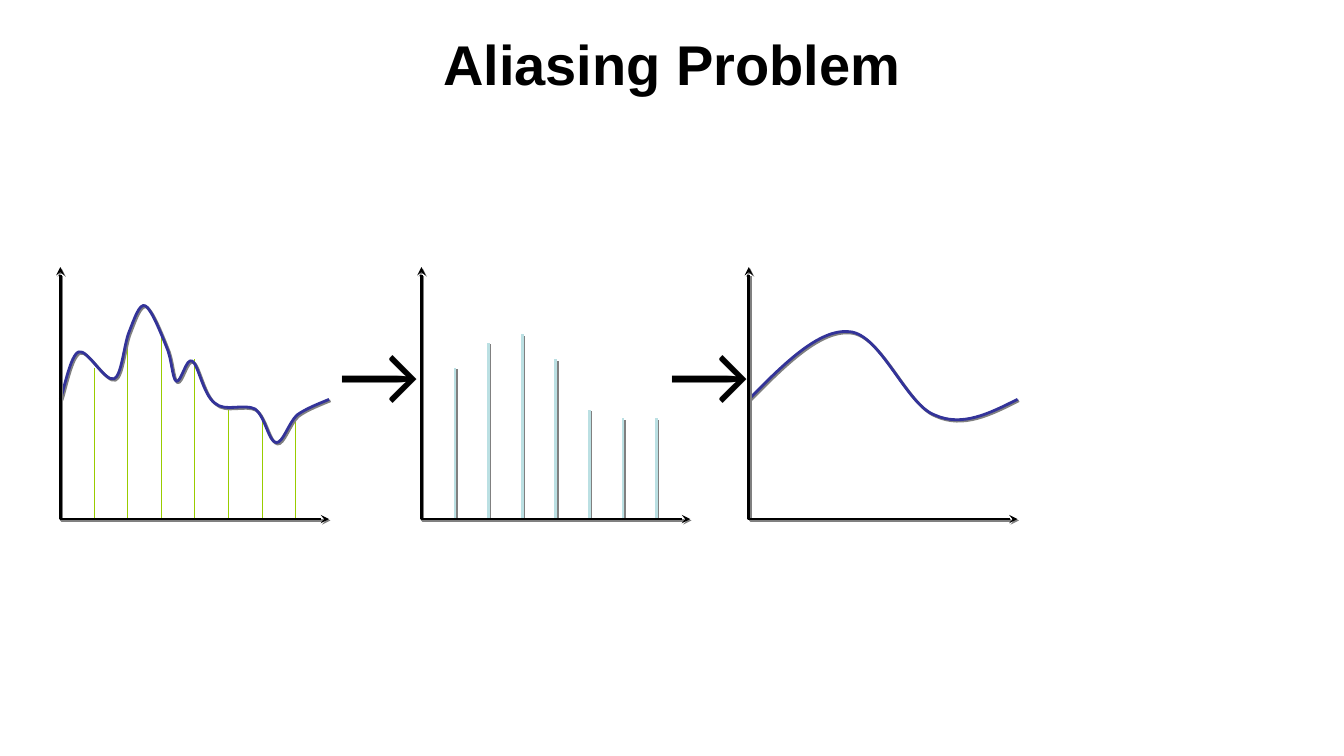
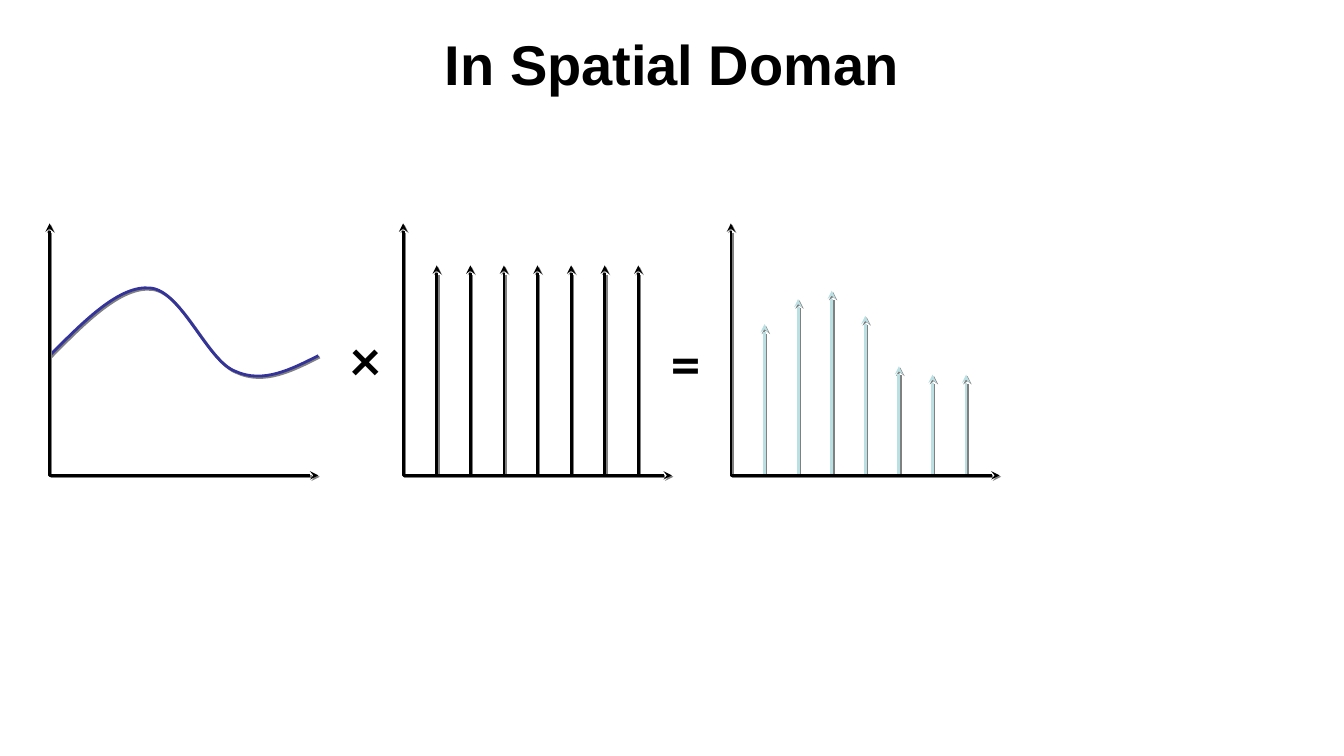
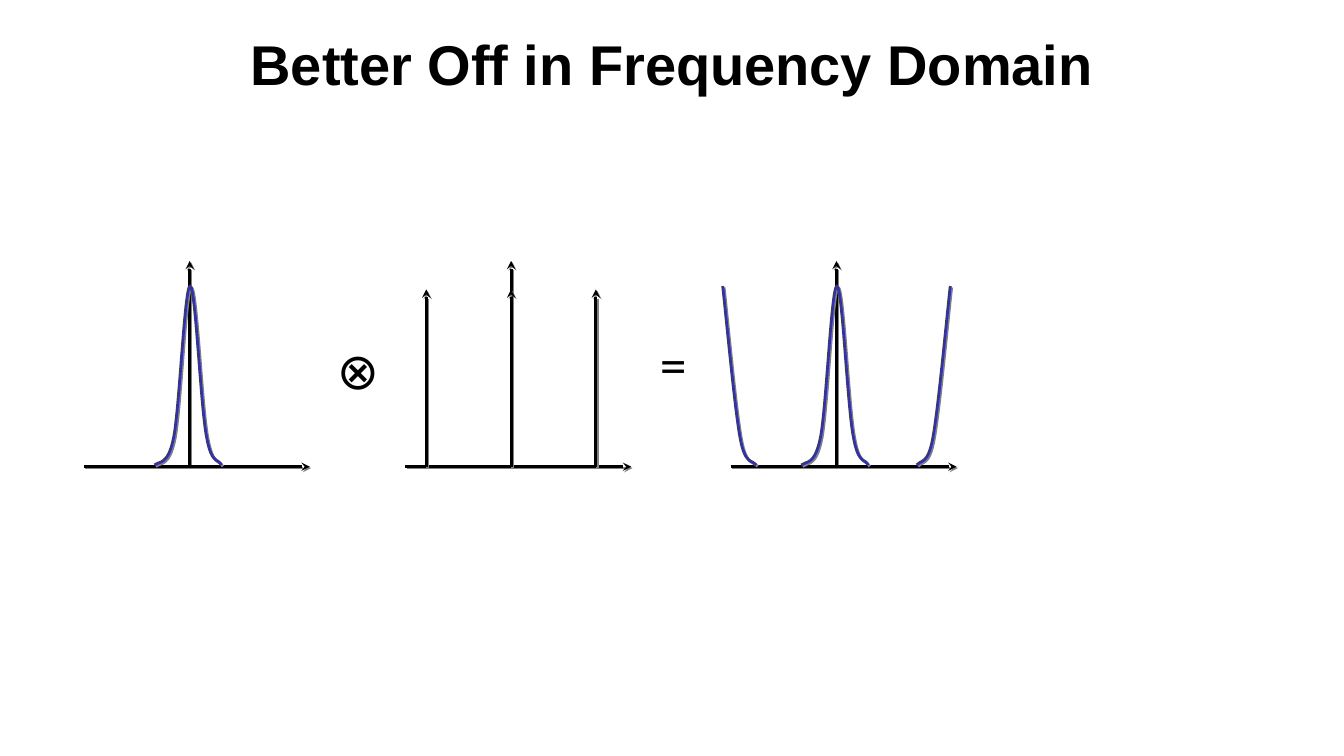
import dataclasses

import pptx
import pptx.dml.color
import pptx.enum.shapes
import pptx.enum.text
import pptx.oxml
import pptx.oxml.ns
import pptx.util
from lxml import etree

Cm, Pt = pptx.util.Cm, pptx.util.Pt
qn = pptx.oxml.ns.qn


@dataclasses.dataclass(frozen=True)
class Theme:
    ink: str = "000000"
    curve: str = "333399"
    sample: str = "BBE0E3"
    guide: str = "99CC00"
    shadow: str = "808080"
    title_font: str = "Arial"
    symbol_font: str = "Lato"
    title: float = 40
    arrow: float = 60
    operator: float = 40
    small_operator: float = 36
    stroke: float = 2
    hairline: float = 0.25


theme = Theme()
UNIT = Cm(2.54) / 12  # plots are measured in twelfths of an inch

SHADOW = (
    f'<a:effectLst {pptx.oxml.ns.nsdecls("a")}>'
    f'<a:outerShdw dist="{Pt(1.41)}" dir="2700000" algn="ctr" rotWithShape="0">'
    f'<a:srgbClr val="{theme.shadow}"/></a:outerShdw></a:effectLst>'
)


def draw(sl, origin, points, color, width=theme.stroke, curved=False, heads=(), shadow=True):
    """Draw points given in units right of and above origin; curved takes Bézier triples."""
    xy = [(round(origin[0] + x * UNIT), round(origin[1] - y * UNIT)) for x, y in points]
    if len(xy) == 2:
        s = sl.shapes.add_connector(pptx.enum.shapes.MSO_CONNECTOR.STRAIGHT, *xy[0], *xy[1])
    else:
        builder = sl.shapes.build_freeform(*xy[0])
        builder.add_line_segments(xy[1:], close=False)
        s = builder.convert_to_shape()
        s.fill.background()
    if curved:
        outline = next(s.element.iter(qn("a:path")))
        segments = outline.findall(qn("a:lnTo"))
        for i in range(0, len(segments), 3):
            bezier = etree.SubElement(outline, qn("a:cubicBezTo"))
            for segment in segments[i:i + 3]:
                bezier.append(segment[0])
                outline.remove(segment)
    s.line.color.rgb = pptx.dml.color.RGBColor.from_string(color)
    s.line.width = Pt(width)
    spPr = s.element.spPr
    for head in heads:
        etree.SubElement(spPr.find(qn("a:ln")), qn(f"a:{head}")).set("type", "stealth")
    if shadow:
        spPr.append(pptx.oxml.parse_xml(SHADOW))
    else:
        etree.SubElement(spPr, qn("a:effectLst"))


def add_text(sl, text, box, size, font=theme.symbol_font, bold=False):
    s = sl.shapes.add_textbox(*(Cm(v) for v in box))
    tf = s.text_frame
    tf.word_wrap = True
    tf.vertical_anchor = pptx.enum.text.MSO_ANCHOR.MIDDLE
    p = tf.paragraphs[0]
    p.alignment = pptx.enum.text.PP_ALIGN.CENTER
    r = p.add_run()
    r.text = text
    for name, value in dict(size=Pt(size), name=font, bold=bold).items():
        setattr(r.font, name, value)
    r.font.color.rgb = pptx.dml.color.RGBColor.from_string(theme.ink)
    return r


prs = pptx.Presentation()
prs.slide_width, prs.slide_height = Cm(33.87), Cm(19.05)

slides = []
for title in ("Aliasing Problem", "In Spatial Doman", "Better Off in Frequency Domain"):
    sl = prs.slides.add_slide(prs.slide_layouts[6])
    r = add_text(sl, title, (0.56, 0.43, 32.74, 2.34), theme.title, theme.title_font, True)
    r.font.fill._xPr.find(qn("a:solidFill")).addnext(pptx.oxml.parse_xml(SHADOW))
    slides.append(sl)
aliasing, spatial, frequency = slides

# Shared plot data
BOTH, END = ("headEnd", "tailEnd"), ("tailEnd",)
axes = [(0, 30), (0, 0), (32, 0)]
sample_heights = [18, 21, 22, 19, 13, 12, 12]
sample_step = 4
impulse_height = 25
smooth_wave = [
    (0, 14.25), (4.2, 18.5), (8.4, 22.7), (12, 22.3), (15.7, 22),
    (18.7, 13.7), (22.1, 12.4), (25.4, 10.9), (28.7, 12.6), (32, 14.25),
]
detailed_wave = [
    (0, 14.25), (0.4, 15.2), (1.2, 19.6), (2.2, 19.9), (3.2, 20.3), (5.3, 16.3), (6.4, 16.7),
    (7.3, 17), (7.6, 20.9), (8.2, 22.3), (8.8, 23.8), (9.4, 25.7), (10.1, 25.4),
    (10.8, 25.1), (12, 22.1), (12.6, 20.6), (13.3, 19.1), (13.3, 16.8), (13.8, 16.4),
    (14.4, 16.2), (15, 19.3), (15.7, 18.8), (16.4, 18.5), (17, 14.8), (18.4, 13.8),
    (19.6, 12.7), (21.8, 13.8), (23.2, 13.1), (24.4, 12.2), (24.8, 9.2), (25.7, 9.1),
    (26.5, 9), (27.2, 11.5), (28.2, 12.4), (29.3, 13.2), (31.2, 13.9), (32, 14.25),
]
sample_lines = [[(i * sample_step, 0), (i * sample_step, h)]
                for i, h in enumerate(sample_heights, 1)]
impulse_lines = [[(x, 0), (x, impulse_height)] for (x, _), _ in sample_lines]

# Aliasing Problem: signal, samples, reconstruction
signal, samples, rebuilt = [(Cm(x), Cm(13.08)) for x in (1.52, 10.62, 18.87)]
for line in sample_lines:
    draw(aliasing, signal, line, theme.guide, theme.hairline, shadow=False)
    draw(aliasing, samples, line, theme.sample)
draw(aliasing, signal, detailed_wave, theme.curve, curved=True)
draw(aliasing, rebuilt, smooth_wave, theme.curve, curved=True)
for origin in (signal, samples, rebuilt):
    draw(aliasing, origin, axes, theme.ink, heads=BOTH)
for left in (8.26, 16.56):
    add_text(aliasing, "→", (left, 7.98, 2.36, 2.82), theme.arrow)

# In Spatial Doman: signal times impulses gives samples
signal, impulses, samples = [(Cm(x), Cm(11.98)) for x in (1.25, 10.16, 18.42)]
for line in sample_lines:
    draw(spatial, samples, line, theme.sample, heads=END)
for line in impulse_lines:
    draw(spatial, impulses, line, theme.ink, heads=END)
draw(spatial, signal, smooth_wave, theme.curve, curved=True)
for origin in (signal, impulses, samples):
    draw(spatial, origin, axes, theme.ink, heads=BOTH)
for symbol, left, top in (("×", 8.03, 8.08), ("=", 16.1, 8.18)):
    add_text(spatial, symbol, (left, top, 2.36, 1.96), theme.operator, bold=True)

# Better Off in Frequency Domain: spectrum convolved with impulses repeats
bell = [
    (-4.2, 0.2), (-3.7, 0.7), (-2.6, 0), (-1.9, 3.5), (-1.2, 7.1), (-0.6, 21.5), (0.05, 21.5),
    (0.7, 21.5), (1.3, 7.2), (2, 3.6), (2.6, 0.1), (3.5, 1), (3.8, 0.2),
]
right_tail = [
    (9.55, 0.2), (9.95, 0.85), (10.9, 0.05), (11.5, 3.55),
    (12.15, 7.15), (13.2, 18.5), (13.55, 21.5),
]
left_tail = [(-x, y) for x, y in right_tail]
spectrum, impulses, repeated = [(Cm(x), Cm(11.76)) for x in (4.78, 12.88, 21.08)]
for origin in (spectrum, impulses, repeated):
    for axis in ([(0, 0), (0, 24.5)], [(-12.6, 0), (14.3, 0)]):
        draw(frequency, origin, axis, theme.ink, heads=END)
for x in (-10.1, 0, 10.1):
    draw(frequency, impulses, [(x, 0), (x, 21.1)], theme.ink, heads=END)
for origin, curve in ((spectrum, bell), (repeated, bell),
                      (repeated, right_tail), (repeated, left_tail)):
    draw(frequency, origin, curve, theme.curve, curved=True)
for symbol, left, top in (("⊗", 8.03, 8.41), ("=", 15.98, 8.28)):
    add_text(frequency, symbol, (left, top, 1.98, 1.78), theme.small_operator)

prs.save("out.pptx")
